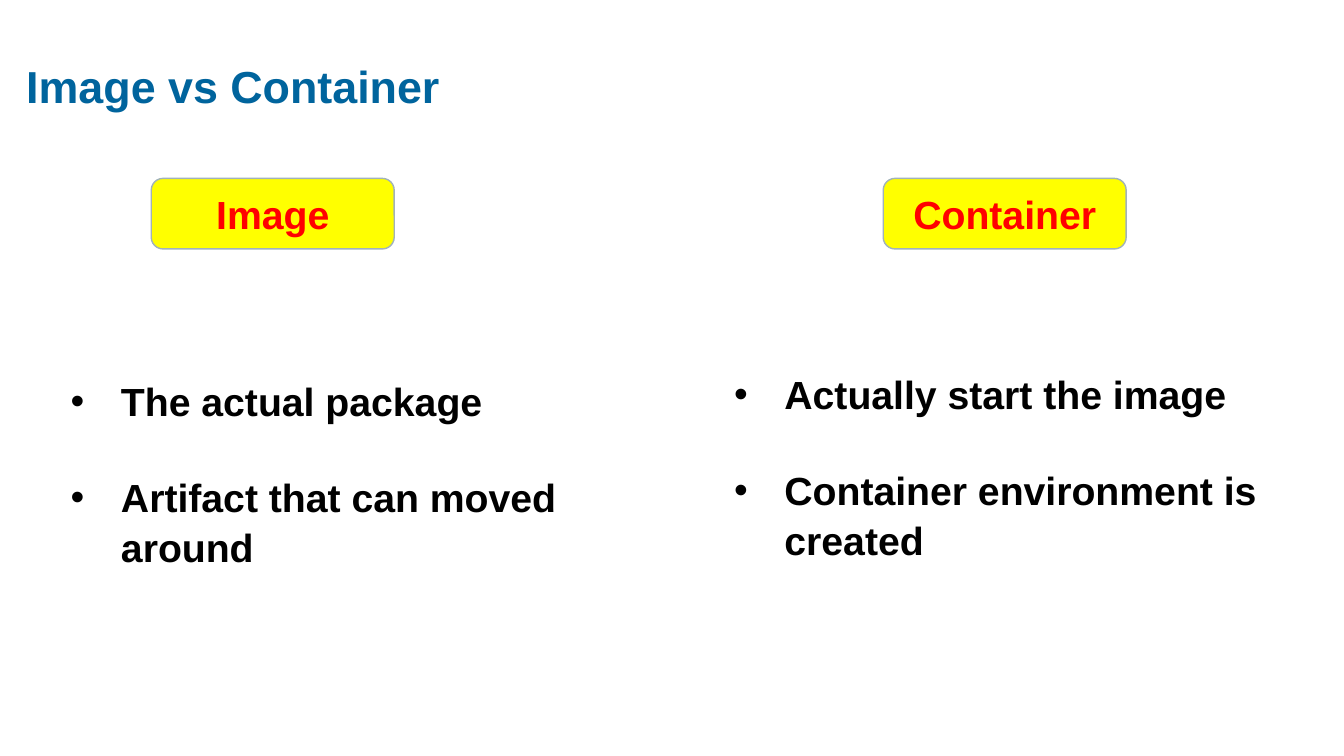
"""Build a slide that compares an image with a container."""
from pptx import Presentation
from pptx.dml.color import RGBColor
from pptx.enum.shapes import MSO_SHAPE
from pptx.enum.text import MSO_ANCHOR, MSO_AUTO_SIZE, PP_ALIGN
from pptx.oxml.xmlchemy import OxmlElement
from pptx.util import Inches, Pt

BLUE = RGBColor(0x00, 0x64, 0x9D)
YELLOW = RGBColor(0xFF, 0xFF, 0x00)
RED = RGBColor(0xFF, 0x00, 0x00)
BLACK = RGBColor(0x00, 0x00, 0x00)
GREY = RGBColor(0xA1, 0xB2, 0xBA)

COLUMNS = [
    ("Image", 1.5, (0.6, 3.67, 5.82, 1.98),
     ["The actual package", "Artifact that can moved around"]),
    ("Container", 8.76, (7.18, 3.6, 6.15, 1.98),
     ["Actually start the image", "Container environment is created"]),
]


def set_attributes(target, values):
    """Set every attribute in values on the target."""
    for name, value in values.items():
        setattr(target, name, value)


def place(shape, left, top, width, height):
    """Move and size a shape, in inches."""
    set_attributes(shape, {"left": Inches(left), "top": Inches(top),
                           "width": Inches(width), "height": Inches(height)})


def format_font(paragraph, size, color):
    """Give a paragraph the bold slide font."""
    set_attributes(paragraph.font, {"name": "Arial", "size": Pt(size), "bold": True})
    paragraph.font.color.rgb = color


def add_title(slide, text):
    """Fill and format the title placeholder."""
    title = slide.shapes.title
    place(title, 0.16, 0.16, 11.5, 1.45)
    frame = title.text_frame
    frame.text = text
    set_attributes(frame, {
        "vertical_anchor": MSO_ANCHOR.MIDDLE, "auto_size": MSO_AUTO_SIZE.NONE,
        "margin_left": Inches(0.1), "margin_top": 0,
        "margin_right": 0, "margin_bottom": 0})
    paragraph = frame.paragraphs[0]
    set_attributes(paragraph, {"alignment": PP_ALIGN.LEFT, "line_spacing": 0.9})
    format_font(paragraph, 32, BLUE)


def add_label(slide, text, left):
    """Add a yellow rounded label at the head of a column."""
    label = slide.shapes.add_shape(
        MSO_SHAPE.ROUNDED_RECTANGLE, Inches(left), Inches(1.77), Inches(2.41), Inches(0.7))
    label.shadow.inherit = False
    label.fill.solid()
    label.fill.fore_color.rgb = YELLOW
    label.line.color.rgb = GREY
    label.line.width = Pt(1)
    frame = label.text_frame
    frame.text = text
    frame.vertical_anchor = MSO_ANCHOR.MIDDLE
    paragraph = frame.paragraphs[0]
    paragraph.alignment = PP_ALIGN.CENTER
    format_font(paragraph, 28, RED)


def add_bullet(paragraph):
    """Give a paragraph a hanging round bullet."""
    properties = paragraph._p.get_or_add_pPr()
    properties.set("marL", str(Inches(0.5)))
    properties.set("indent", str(-Inches(0.5)))
    bullet_font = OxmlElement("a:buFont")
    bullet_font.set("typeface", "Arial")
    bullet = OxmlElement("a:buChar")
    bullet.set("char", "•")
    properties.extend([bullet_font, bullet])


def fill_list(placeholder, box, items):
    """Fill a body placeholder with spaced bullet points."""
    place(placeholder, *box)
    frame = placeholder.text_frame
    set_attributes(frame, {
        "word_wrap": True, "auto_size": MSO_AUTO_SIZE.NONE,
        "vertical_anchor": MSO_ANCHOR.TOP})
    for index, item in enumerate(items):
        paragraph = frame.add_paragraph() if index else frame.paragraphs[0]
        paragraph.text = item
        add_bullet(paragraph)
        set_attributes(paragraph, {"line_spacing": 1.05,
                                   "space_before": Pt(33.6 if index else 0)})
        format_font(paragraph, 28, BLACK)


def main():
    """Build and save the slide."""
    presentation = Presentation()
    set_attributes(presentation, {"slide_width": Inches(13.33), "slide_height": Inches(7.5)})
    slide = presentation.slides.add_slide(presentation.slide_layouts.get_by_name("Two Content"))
    add_title(slide, "Image vs Container")
    for number, (heading, left, box, items) in enumerate(COLUMNS, start=1):
        add_label(slide, heading, left)
        fill_list(slide.placeholders[number], box, items)
    presentation.save("out.pptx")


if __name__ == "__main__":
    main()
